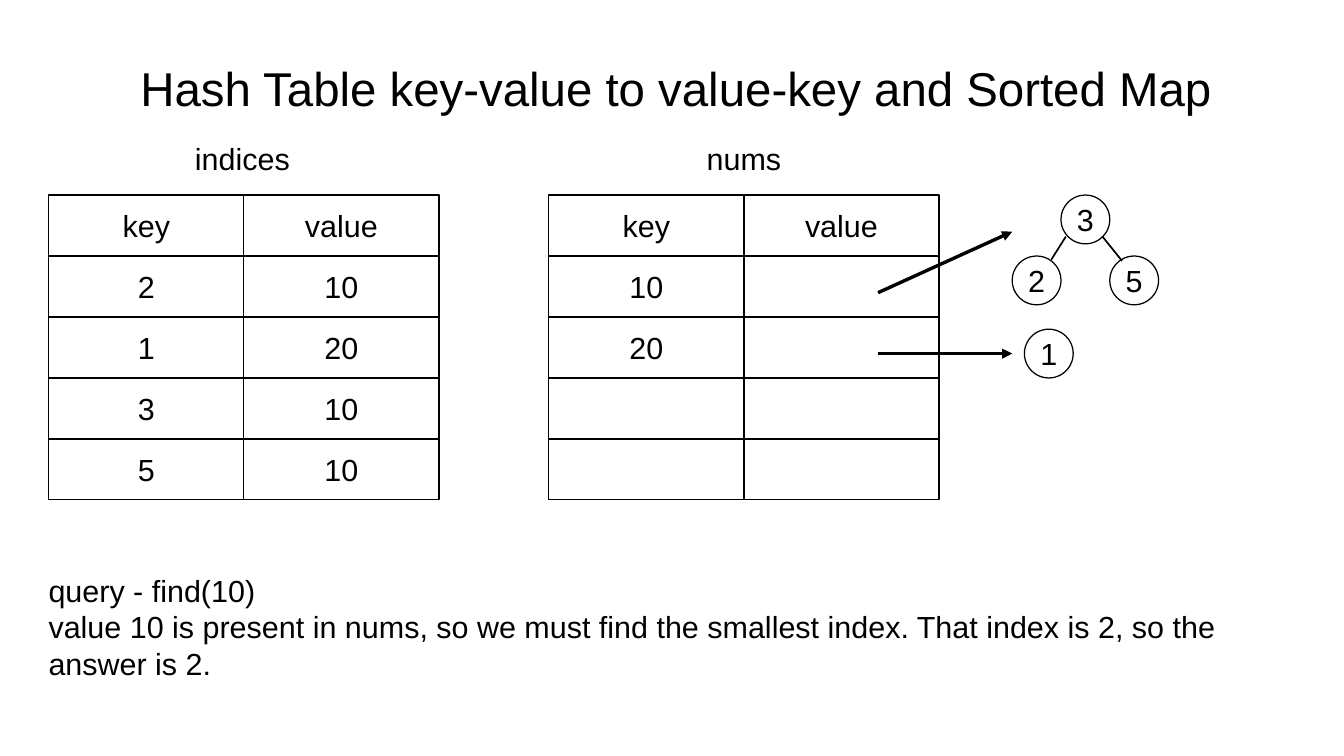
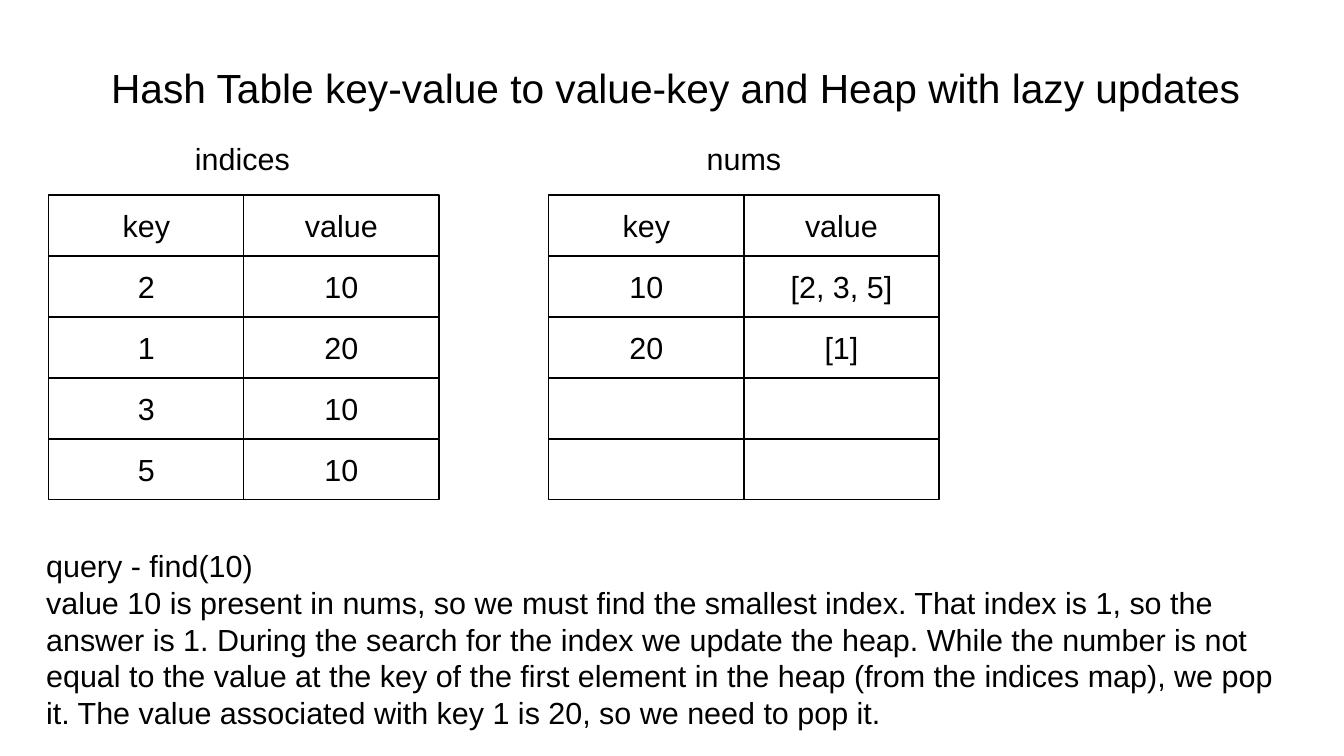
"""Build two slides on reversing a hash table, with a sorted map and with a heap."""
import pptx
import pptx.util
import pptx.dml.color
import pptx.enum.shapes
import pptx.enum.text
import pptx.oxml
import pptx.oxml.ns

Inches, Pt = pptx.util.Inches, pptx.util.Pt
ALIGN, ANCHOR = pptx.enum.text.PP_ALIGN, pptx.enum.text.MSO_ANCHOR
SHAPE = pptx.enum.shapes.MSO_SHAPE

FONT, BLACK, WHITE = "Arial", "000000", "FFFFFF"
HAIRLINE, EDGE_WIDTH = 0, 1
TITLE_BOX = (0.58, 0.2, 9.92, 1.03)
GRID_TOP, COL_W, ROW_H = 1.6, 1.6, 0.5
NODE_D = 0.4
HEADER = ("key", "value")
INDICES = [HEADER, ("2", "10"), ("1", "20"), ("3", "10"), ("5", "10")]

SLIDES = [
    {
        "title": "Hash Table key-value to value-key and Sorted Map",
        "title_size": 28,
        "nums": [HEADER, ("10", ""), ("20", ""), ("", ""), ("", "")],
        "query_box": (0.3, 4.64, 10.4, 1.16),
        "query": [
            "query - find(10)",
            "value 10 is present in nums, so we must find the smallest index. "
            "That index is 2, so the answer is 2.",
        ],
        "nodes": [("3", 8.7, 1.6), ("2", 8.3, 2.1), ("5", 9.1, 2.1), ("1", 8.4, 2.7)],
        "edges": [(8.74, 1.94, 8.62, 2.13), (9.04, 1.94, 9.2, 2.14)],
        "arrows": [(7.2, 2.4, 8.3, 1.9), (7.2, 2.9, 8.3, 2.9)],
    },
    {
        "title": "Hash Table key-value to value-key and Heap with lazy updates",
        "title_size": 24,
        "nums": [HEADER, ("10", "[2, 3, 5]"), ("20", "[1]"), ("", ""), ("", "")],
        "query_box": (0.28, 4.44, 10.4, 1.66),
        "query": [
            "query - find(10)",
            "value 10 is present in nums, so we must find the smallest index. "
            "That index is 1, so the answer is 1. During the search for the index "
            "we update the heap. While the number is not equal to the value at the "
            "key of the first element in the heap (from the indices map), we pop it. "
            "The value associated with key 1 is 20, so we need to pop it.",
        ],
        "nodes": [],
        "edges": [],
        "arrows": [],
    },
]


def rgb(value):
    return pptx.dml.color.RGBColor.from_string(value)


def inches(*lengths):
    return [Inches(n) for n in lengths]


def write(tf, lines, size=18, color=BLACK, align=ALIGN.CENTER):
    for i, line in enumerate(lines):
        p = tf.paragraphs[0] if i == 0 else tf.add_paragraph()
        p.alignment = align
        r = p.add_run()
        r.text = line
        r.font.name, r.font.size = FONT, Pt(size)
        r.font.color.rgb = rgb(color)


def add_text(s, box, lines, anchor=ANCHOR.TOP, margin=None, **style):
    tf = s.shapes.add_textbox(*inches(*box)).text_frame
    tf.word_wrap = True
    tf.vertical_anchor = anchor
    if margin is not None:
        tf.margin_left = tf.margin_right = tf.margin_top = tf.margin_bottom = margin
    write(tf, lines, **style)


def add_shape(s, kind, box, text, fill=None, wrap=False):
    sp = s.shapes.add_shape(kind, *inches(*box))
    sp.shadow.inherit = False
    if fill:
        sp.fill.solid()
        sp.fill.fore_color.rgb = rgb(fill)
    else:
        sp.fill.background()
    sp.line.color.rgb = rgb(BLACK)
    sp.line.width = Pt(HAIRLINE)
    tf = sp.text_frame
    tf.word_wrap = wrap
    tf.vertical_anchor = ANCHOR.MIDDLE
    if text:
        write(tf, [text])


def add_grid(s, left, rows):
    for i, row in enumerate(rows):
        for j, text in enumerate(row):
            box = (left + j * COL_W, GRID_TOP + i * ROW_H, COL_W, ROW_H)
            add_shape(s, SHAPE.RECTANGLE, box, text, fill=WHITE, wrap=i > 0)


def add_line(s, ends, width, arrow=False):
    line = s.shapes.add_connector(pptx.enum.shapes.MSO_CONNECTOR.STRAIGHT, *inches(*ends))
    line.line.color.rgb = rgb(BLACK)
    line.line.width = Pt(width)
    ns = pptx.oxml.ns.nsdecls("a")
    if arrow:
        ln = line._element.spPr.find(pptx.oxml.ns.qn("a:ln"))
        ln.append(pptx.oxml.parse_xml(f'<a:tailEnd {ns} type="triangle"/>'))
    line._element.spPr.append(pptx.oxml.parse_xml(f"<a:effectLst {ns}/>"))


def build_slide(prs, data):
    s = prs.slides.add_slide(prs.slide_layouts[6])
    add_text(s, TITLE_BOX, [data["title"]], anchor=ANCHOR.MIDDLE, margin=0,
             size=data["title_size"])
    add_grid(s, 0.4, INDICES)
    add_text(s, data["query_box"], data["query"], align=ALIGN.LEFT)
    add_grid(s, 4.5, data["nums"])
    add_text(s, (1.5, 1.1, 1, 0.4), ["indices"], align=ALIGN.LEFT)
    add_text(s, (5.6, 1.1, 1, 0.4), ["nums"])
    for ends in data["arrows"]:
        add_line(s, ends, HAIRLINE, arrow=True)
    for ends in data["edges"]:
        add_line(s, ends, EDGE_WIDTH)
    for text, left, top in data["nodes"]:
        add_shape(s, SHAPE.OVAL, (left, top, NODE_D, NODE_D), text)


def main():
    prs = pptx.Presentation()
    prs.slide_width, prs.slide_height = inches(11.02, 6.2)
    for data in SLIDES:
        build_slide(prs, data)
    prs.save("out.pptx")


if __name__ == "__main__":
    main()
